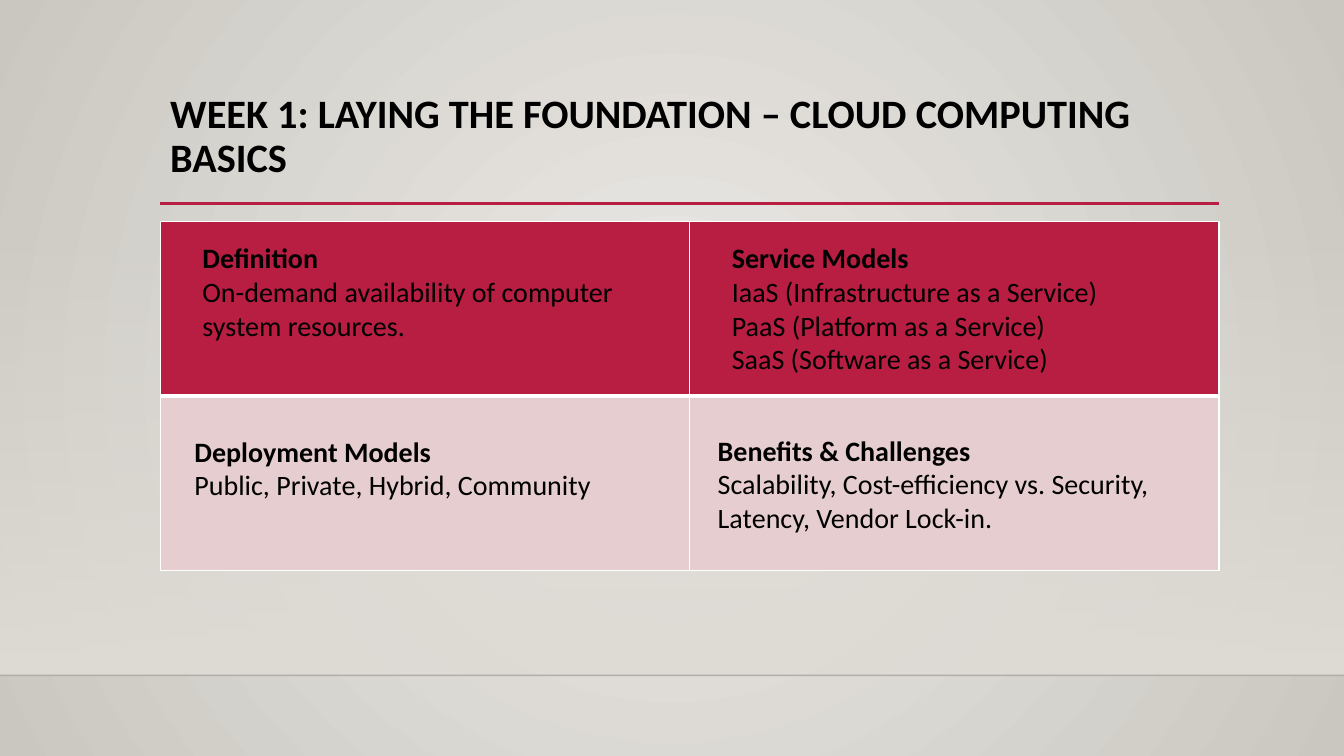
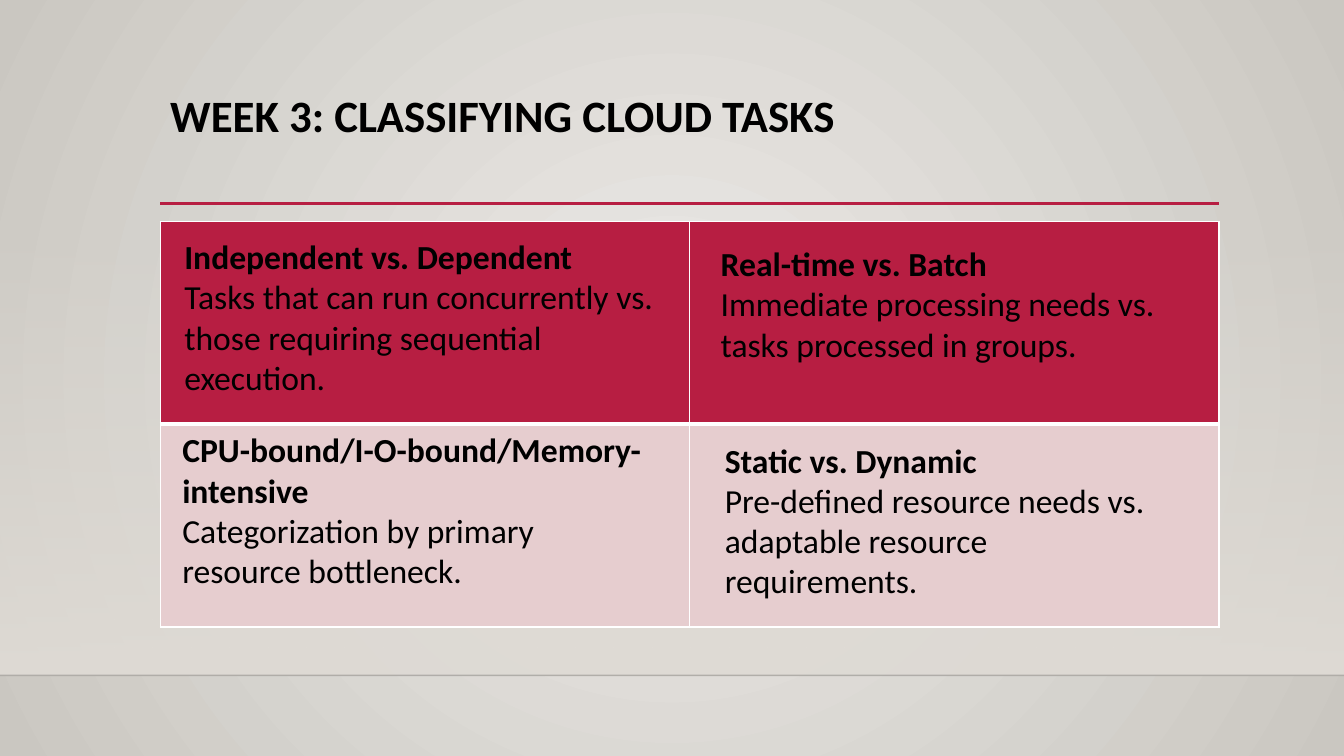
from dataclasses import dataclass

from lxml import etree
from pptx import Presentation
from pptx.dml.color import RGBColor
from pptx.enum.shapes import MSO_CONNECTOR, MSO_SHAPE
from pptx.enum.text import MSO_ANCHOR, MSO_AUTO_SIZE
from pptx.oxml.ns import qn
from pptx.util import Inches, Pt

STRAIGHT = MSO_CONNECTOR.STRAIGHT
RECTANGLE = MSO_SHAPE.RECTANGLE
TOP = MSO_ANCHOR.TOP
GROW = MSO_AUTO_SIZE.SHAPE_TO_FIT_TEXT


@dataclass(frozen=True)
class Theme:
    font: str = "Calibri"
    ink: str = "000000"
    accent: str = "B71E42"
    tint: str = "E6CDCF"
    grid: str = "FFFFFF"
    glow: str = "ECEAE7"
    edge: str = "CAC7C1"
    band: str = "DFDBD5"
    width: float = 13.33
    height: float = 7.5
    left: float = 1.59
    content_width: float = 10.5
    floor: float = 6.7
    rule_top: float = 2.02
    table_top: float = 2.2
    thin: float = 1
    thick: float = 3


THEME = Theme()

# Each note: left, top, width, heading, body lines
WEEKS = [
    {
        "title": "WEEK 1: LAYING THE FOUNDATION – CLOUD COMPUTING BASICS",
        "title_size": 28.8,
        "note_size": 20,
        "row_height": 1.73,
        "notes": [
            (1.91, 2.34, 4.93, "Definition",
             ["On-demand availability of computer system resources."]),
            (7.16, 2.34, 4.81, "Service Models",
             ["IaaS (Infrastructure as a Service)",
              "PaaS (Platform as a Service)",
              "SaaS (Software as a Service)"]),
            (1.83, 4.26, 4.93, "Deployment Models",
             ["Public, Private, Hybrid, Community"]),
            (7.02, 4.25, 4.81, "Benefits & Challenges",
             ["Scalability, Cost-efficiency vs. Security, Latency, Vendor Lock-in."]),
        ],
    },
    {
        "title": "WEEK 3: CLASSIFYING CLOUD TASKS",
        "title_size": 32,
        "note_size": 24,
        "row_height": 2.01,
        "notes": [
            (1.73, 2.29, 4.93, "Independent vs. Dependent",
             ["Tasks that can run concurrently vs. those requiring sequential execution."]),
            (7.05, 2.36, 4.66, "Real-time vs. Batch",
             ["Immediate processing needs vs. tasks processed in groups."]),
            (1.71, 4.21, 4.76, "CPU-bound/I-O-bound/Memory-intensive",
             ["Categorization by primary resource bottleneck."]),
            (7.09, 4.31, 4.38, "Static vs. Dynamic",
             ["Pre-defined resource needs vs. adaptable resource requirements."]),
        ],
    },
]


def rgb(value):
    return RGBColor.from_string(value)


def set_alpha(element, percent):
    """Set the opacity of the first colour inside an element."""
    color = next(element.iter(qn("a:srgbClr")))
    etree.SubElement(color, qn("a:alpha"), val=str(percent * 1000))


def set_gradient(fill, start, end):
    fill.gradient()
    for stop, color, position in zip(fill.gradient_stops, (start, end), (0, 1)):
        stop.color.rgb = rgb(color)
        stop.position = position


def set_background(master):
    """Give the master a round gradient that all slides inherit."""
    set_gradient(master.background.fill, THEME.glow, THEME.edge)
    gradient = next(master.element.iter(qn("a:gradFill")))
    gradient.remove(gradient.find(qn("a:lin")))
    circle = etree.SubElement(gradient, qn("a:path"), path="circle")
    etree.SubElement(circle, qn("a:fillToRect"),
                     {side: "50000" for side in "ltrb"})


def add_rule(page, left, top, width, color, weight, opacity=100):
    rule = page.shapes.add_connector(
        STRAIGHT, Inches(left), Inches(top), Inches(left + width), Inches(top))
    rule.line.color.rgb = rgb(color)
    rule.line.width = Pt(weight)
    properties = rule._element.spPr
    if opacity < 100:
        set_alpha(properties, opacity)
    etree.SubElement(properties, qn("a:effectLst"))


def add_scenery(page):
    """Draw the fading band, the floor line and the rule under the title."""
    top = 2.21
    band = page.shapes.add_shape(
        RECTANGLE, 0, Inches(top), Inches(THEME.width), Inches(THEME.floor - top))
    band.shadow.inherit = False
    band.line.fill.background()
    set_gradient(band.fill, THEME.band, THEME.band)
    band.fill.gradient_angle = 270
    set_alpha(band._element.spPr, 0)
    add_rule(page, 0, THEME.floor, THEME.width, THEME.ink, 1, opacity=20)
    add_rule(page, THEME.left, THEME.rule_top, THEME.content_width, THEME.accent, 2.5)


def add_text(page, left, top, width, height, lines, size, spacing=None):
    """Add a text box whose first line is bold."""
    box = page.shapes.add_textbox(
        Inches(left), Inches(top), Inches(width), Inches(height))
    frame = box.text_frame
    frame.word_wrap = True
    frame.vertical_anchor = TOP
    for index, line in enumerate(lines):
        para = frame.paragraphs[0] if index == 0 else frame.add_paragraph()
        para.line_spacing = spacing
        span = para.add_run()
        span.text = line
        span.font.name = THEME.font
        span.font.size = Pt(size)
        span.font.bold = index == 0
        span.font.color.rgb = rgb(THEME.ink)
    return box


def add_note(page, note, size):
    left, top, width, heading, body = note
    box = add_text(page, left, top, width, 1.41, [heading, *body], size)
    box.text_frame.auto_size = GROW


def set_borders(cell, weights):
    """Weights are given for the sides L, R, T and B."""
    properties = cell._tc.get_or_add_tcPr()
    for index, (side, weight) in enumerate(zip("LRTB", weights)):
        border = etree.Element(qn(f"a:ln{side}"), w=str(Pt(weight)))
        fill = etree.SubElement(border, qn("a:solidFill"))
        etree.SubElement(fill, qn("a:srgbClr"), val=THEME.grid)
        properties.insert(index, border)


def add_grid(page, row_height):
    """Add the two-by-two table of coloured panels."""
    table = page.shapes.add_table(
        2, 2, Inches(THEME.left), Inches(THEME.table_top),
        Inches(THEME.content_width), Inches(2 * row_height)).table
    table.first_row = table.horz_banding = False
    thin, thick = THEME.thin, THEME.thick
    looks = [(THEME.accent, (thin, thin, thin, thick)),
             (THEME.tint, (thin, thin, thick, thin))]
    for row, (color, weights) in zip(table.rows, looks):
        for cell in row.cells:
            cell.fill.solid()
            cell.fill.fore_color.rgb = rgb(color)
            set_borders(cell, weights)


def add_week(deck, week):
    page = deck.slides.add_slide(deck.slide_layouts[6])
    add_scenery(page)
    add_text(page, THEME.left, 0.88, THEME.content_width, 1.15,
             [week["title"]], week["title_size"], spacing=0.9)
    add_grid(page, week["row_height"])
    for note in week["notes"]:
        add_note(page, note, week["note_size"])


def main():
    deck = Presentation()
    deck.slide_width = Inches(THEME.width)
    deck.slide_height = Inches(THEME.height)
    set_background(deck.slide_master)
    for week in WEEKS:
        add_week(deck, week)
    deck.save("out.pptx")


if __name__ == "__main__":
    main()
